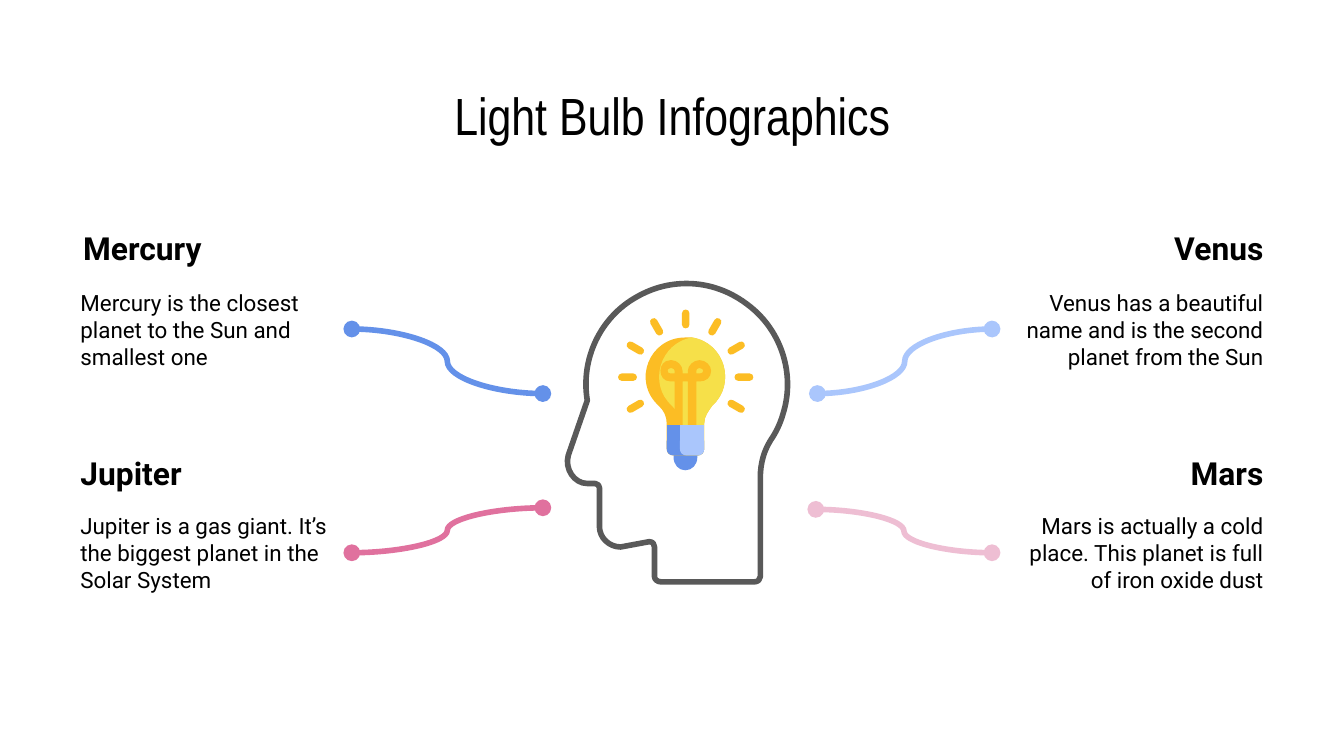
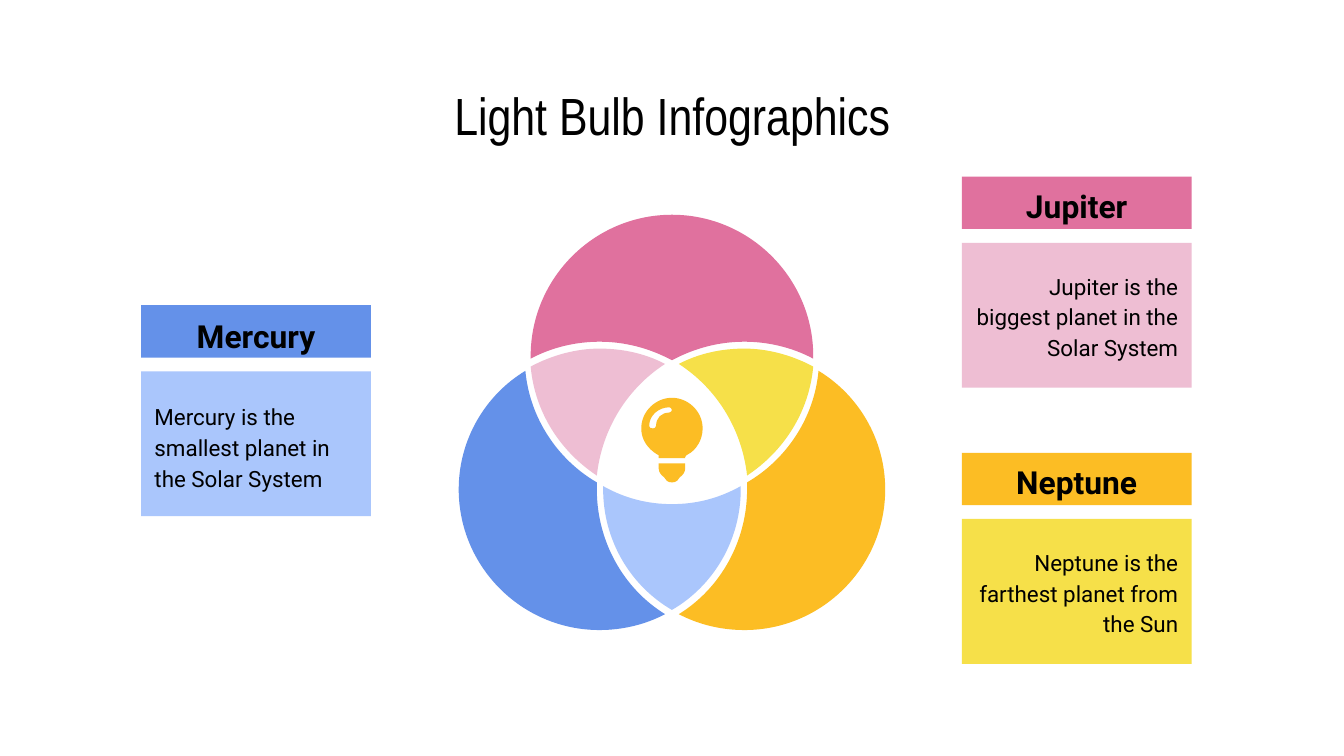
import math

from lxml import etree
from pptx import Presentation
from pptx import util as u
from pptx.dml.color import RGBColor
from pptx.enum import shapes, text
from pptx.oxml import ns

BLUE, LIGHT_BLUE = "6491E9", "AAC6FC"
PINK, LIGHT_PINK = "E0719E", "EEBED3"
ORANGE, YELLOW = "FCBD24", "F6E049"
BLACK, GREY = "000000", "595959"

TITLE = {"name": "Arial Narrow", "size": u.Pt(28), "bold": False}
HEADING = {"name": "Roboto", "size": u.Pt(17), "bold": True}
BODY = {"name": "Roboto", "size": u.Pt(12), "bold": False}
FRAME = {"word_wrap": True, "auto_size": text.MSO_AUTO_SIZE.NONE,
         "vertical_anchor": text.MSO_ANCHOR.MIDDLE,
         **{f"margin_{side}": u.Cm(0.25) for side in ("left", "right", "top", "bottom")}}
LEFT, CENTER, RIGHT = text.PP_ALIGN.LEFT, text.PP_ALIGN.CENTER, text.PP_ALIGN.RIGHT

MIDDLE = 12.7  # horizontal centre of the slide, cm

# Outlines in cm: M starts a contour, L is a line, C a cubic curve
HEAD = """M 12.98 5.36 C 12.65 5.36 12.34 5.44 12.04 5.61
C 11.35 5.99 10.97 6.78 11.1 7.57 L 10.74 8.61 C 10.67 8.86 10.85 9.14 11.1 9.14
L 11.25 9.14 C 11.3 9.14 11.33 9.19 11.33 9.22 L 11.33 9.96
C 11.33 10.16 11.51 10.34 11.73 10.34 L 12.27 10.24 C 12.34 10.24 12.37 10.29 12.37 10.34
L 12.37 10.9 C 12.37 10.95 12.42 11 12.5 11 L 14.25 11 C 14.33 11 14.37 10.95 14.37 10.9
L 14.37 9.02 C 14.37 8.89 14.39 8.76 14.42 8.65 C 14.45 8.54 14.5 8.43 14.56 8.33
C 14.67 8.17 14.75 8 14.8 7.82 C 15.03 7.09 14.78 6.27 14.17 5.79
C 13.82 5.51 13.41 5.36 12.98 5.36"""
GLASS_RIGHT = """L 13.18 8.61 C 13.26 8.61 13.31 8.56 13.31 8.48
L 13.31 8 C 13.31 7.87 13.39 7.77 13.46 7.67 C 13.92 7.26 13.7 6.48 13.08 6.38"""
GLASS = """M 12.95 6.38 C 12.27 6.38 11.94 7.21 12.45 7.67 C 12.55 7.77 12.6 7.87 12.6 8
L 12.6 8.48 C 12.6 8.56 12.65 8.61 12.73 8.61 """ + GLASS_RIGHT
LIT_GLASS = """M 13.08 6.38 C 12.47 6.48 12.24 7.26 12.7 7.67 C 12.8 7.77 12.85 7.87 12.85 8
L 12.85 8.48 C 12.85 8.56 12.9 8.61 12.98 8.61 """ + GLASS_RIGHT
FILAMENT = """M 12.7 6.96 C 12.73 6.96 12.75 6.99 12.75 7.01 L 12.75 7.06 L 12.67 7.06
C 12.6 7.06 12.6 6.96 12.67 6.96
M 13.23 6.96 C 13.31 6.96 13.31 7.06 13.23 7.06 L 13.16 7.06 L 13.16 7.01
C 13.16 6.99 13.18 6.96 13.21 6.96
M 12.67 6.81 C 12.42 6.81 12.42 7.21 12.67 7.21 L 12.75 7.21 L 12.75 8.03 L 12.9 8.03
L 12.9 7.21 L 13 7.21 L 13 8.03 L 13.16 8.03 L 13.16 7.21 L 13.23 7.21
C 13.34 7.21 13.44 7.14 13.44 7.01 C 13.44 6.91 13.34 6.81 13.23 6.81 L 13.21 6.81
C 13.11 6.81 13 6.91 13 7.01 L 13 7.06 L 12.9 7.06 L 12.9 7.01
C 12.9 6.91 12.8 6.81 12.7 6.81"""
TIP = """M 12.73 8.59 L 12.73 8.64 C 12.73 8.79 12.83 8.89 12.95 8.89
C 13.08 8.89 13.18 8.79 13.18 8.64 L 13.18 8.59"""

TOP_CIRCLE = """M 12.7 4.06 C 11.23 4.06 10.03 5.26 10.03 6.73 L 10.03 6.78
C 10.44 6.56 10.9 6.46 11.33 6.46 C 11.81 6.46 12.27 6.58 12.7 6.81
C 13.13 6.58 13.59 6.46 14.07 6.46 C 14.5 6.46 14.96 6.56 15.37 6.78 L 15.37 6.73
C 15.37 5.26 14.17 4.06 12.7 4.06"""
SIDE_CIRCLE = """M 15.47 7.01 C 15.39 7.9 14.86 8.69 14.12 9.12 L 14.12 9.25
C 14.12 10.24 13.61 11.13 12.83 11.61 C 13.21 11.81 13.64 11.91 14.07 11.91
C 15.53 11.91 16.73 10.72 16.73 9.25 C 16.73 8.31 16.23 7.47 15.47 7.01"""
SIDE_LENS = """M 14.07 6.59 C 13.64 6.59 13.21 6.68 12.83 6.88
C 13.54 7.34 14.02 8.1 14.12 8.99 C 14.81 8.53 15.29 7.8 15.37 6.93
C 14.96 6.71 14.5 6.59 14.07 6.59"""
LOWER_LENS = """M 11.4 9.19 L 11.4 9.25 C 11.4 10.21 11.91 11.07 12.7 11.53
C 13.49 11.07 14 10.21 14 9.25 L 14 9.19 C 13.59 9.42 13.16 9.53 12.7 9.53
C 12.24 9.53 11.81 9.42 11.4 9.19"""
SMALL_BULB = """M 12.65 7.7 C 12.67 7.7 12.7 7.72 12.7 7.75 C 12.7 7.77 12.67 7.8 12.65 7.8
C 12.5 7.8 12.4 7.9 12.4 8.05 C 12.4 8.08 12.37 8.1 12.34 8.1
C 12.29 8.1 12.27 8.08 12.27 8.05 C 12.27 7.85 12.45 7.7 12.65 7.7
M 12.7 7.52 C 12.4 7.52 12.12 7.77 12.12 8.1 C 12.12 8.31 12.24 8.48 12.42 8.59
C 12.45 8.59 12.45 8.61 12.45 8.64 L 12.45 8.66 L 12.95 8.66 L 12.95 8.64
C 12.95 8.61 12.98 8.61 13 8.59 C 13.16 8.51 13.28 8.31 13.28 8.1
C 13.28 7.77 13 7.52 12.7 7.52"""
SMALL_TIP = """M 12.45 8.76 L 12.45 8.86 C 12.45 8.92 12.5 8.99 12.55 9.02
C 12.57 9.07 12.62 9.12 12.7 9.12 C 12.78 9.12 12.83 9.07 12.85 9.02
C 12.9 8.99 12.95 8.92 12.95 8.86 L 12.95 8.76"""


def rgb(color):
    return RGBColor.from_string(color)


def set_all(target, values):
    for name, value in values.items():
        setattr(target, name, value)


def paint(shape, fill=None, line=None):
    shape.shadow.inherit = False
    if fill:
        shape.fill.solid()
        shape.fill.fore_color.rgb = rgb(fill)
    else:
        shape.fill.background()
    if line:
        shape.line.color.rgb = rgb(line)
        shape.line.width = u.Pt(3)
    else:
        shape.line.fill.background()


def write(shape, words, style, align, spacing=1.0):
    set_all(shape.text_frame, FRAME)
    paragraph = shape.text_frame.paragraphs[0]
    set_all(paragraph, {"alignment": align, "line_spacing": spacing})
    run = paragraph.add_run()
    run.text = words
    set_all(run.font, style)
    run.font.color.rgb = rgb(BLACK)


def add_text(slide, box, words, style, align, spacing=1.0):
    shape = slide.shapes.add_textbox(*map(u.Cm, box))
    write(shape, words, style, align, spacing)


def add_block(slide, box, fill):
    shape = slide.shapes.add_shape(shapes.MSO_SHAPE.RECTANGLE, *map(u.Cm, box))
    paint(shape, fill)


def bend(shape, commands):
    """Join each three line segments that stand for a C command into one cubic curve."""
    segments = iter(list(shape._element.iter(ns.qn("a:lnTo"))))
    for command in commands:
        segment = next(segments)
        if command == "C":
            segment.tag = ns.qn("a:cubicBezTo")
            for extra in (next(segments), next(segments)):
                segment.append(extra[0])
                extra.getparent().remove(extra)


def add_outline(slide, outline, fill=None, line=None, mirrored=False):
    builder = None
    for contour in outline.split("M")[1:]:
        numbers = [float(word) for word in contour.split() if word not in "LC"]
        points = [(u.Cm(2 * MIDDLE - x if mirrored else x), u.Cm(y))
                  for x, y in zip(numbers[::2], numbers[1::2])]
        if builder is None:
            builder = slide.shapes.build_freeform(*points[0])
        else:
            builder.move_to(*points[0])
        builder.add_line_segments(points[1:], close=True)
    shape = builder.convert_to_shape()
    # A closing line is only added by the builder as a:close, never as a segment
    bend_commands = [letter for letter in outline if letter in "LC"]
    bend(shape, bend_commands)
    paint(shape, fill, line)


def add_curve(slide, start, end, color):
    """Draw a curved connector with a dot at both ends."""
    connector = slide.shapes.add_connector(
        shapes.MSO_CONNECTOR.CURVE, *map(u.Cm, (*start, *end)))
    connector.line.color.rgb = rgb(color)
    connector.line.width = u.Pt(3)
    properties = connector._element.spPr
    for tag in ("a:headEnd", "a:tailEnd"):
        etree.SubElement(properties.find(ns.qn("a:ln")), ns.qn(tag), type="oval")
    etree.SubElement(properties, ns.qn("a:effectLst"))


def add_titled_slide(presentation):
    slide = presentation.slides.add_slide(presentation.slide_layouts[5])
    slide.background.fill.solid()
    slide.background.fill.fore_color.rgb = rgb("FFFFFF")
    title = slide.shapes.title
    set_all(title, {"left": u.Cm(7.94), "top": u.Cm(1.5),
                    "width": u.Cm(9.52), "height": u.Cm(1.35)})
    write(title, "Light Bulb Infographics", TITLE, CENTER)
    return slide


def add_rays(slide):
    center_x, center_y, radius = 12.96, 7.13, 1.1
    half, side, bulge = 0.11, 0.07, 0.2  # straight part, half width, control of the round end
    ray = ((-half, -side), (half, -side), (bulge, -side), (bulge, side), (half, side),
           (-half, side), (-bulge, side), (-bulge, -side), (-half, -side))
    for degrees in range(-30, 211, 30):
        cosine, sine = math.cos(math.radians(degrees)), math.sin(math.radians(degrees))
        turned = [f"{center_x + (radius + x) * cosine + y * sine:.3f} "
                  f"{center_y - (radius + x) * sine + y * cosine:.3f}" for x, y in ray]
        add_outline(slide, "M {} L {} C {} {} {} L {} C {} {} {}".format(*turned), ORANGE)


def add_socket(slide, left, color):
    """Draw the two rings of the bulb's socket, from left to its right edge."""
    right = 13.31
    add_outline(slide, f"M {left} 8.03 L {left} 8.33 L {right} 8.33 L {right} 8.03", color)
    add_outline(slide, f"""M {left} 8.33 L {left} 8.48
        C {left} 8.56 {left + 0.05} 8.61 {left + 0.13} 8.61 L 13.18 8.61
        C 13.26 8.61 {right} 8.56 {right} 8.48 L {right} 8.33""", color)


def add_head(slide):
    add_outline(slide, HEAD, line=GREY)
    for outline, color in ((TIP, BLUE), (GLASS, ORANGE), (LIT_GLASS, YELLOW),
                           (FILAMENT, ORANGE)):
        add_outline(slide, outline, color)
    add_rays(slide)
    add_socket(slide, 12.6, BLUE)
    add_socket(slide, 12.85, LIGHT_BLUE)


def add_callout(slide, tops, align, heading_box, name, words, color, target):
    heading_top, body_top, line_top = tops
    body_left, line_left = (1.27, 6.65) if align == LEFT else (18.75, 18.75)
    heading_left, heading_width = heading_box
    add_text(slide, (body_left, body_top, 5.38, 1.85), words, BODY, align)
    add_curve(slide, (line_left, line_top), target, color)
    add_text(slide, (heading_left, heading_top, heading_width, 0.91), name, HEADING, align, 1.15)


def add_card(slide, corner, align, name, heading, words, body, color, light_color):
    """Draw a card; heading is (shift, width), body is (shift, height) of its text."""
    left, top = corner
    width, body_top = 4.34, top + 1.25
    add_block(slide, (left, top, width, 0.99), color)
    add_block(slide, (left, body_top, width, 2.74), light_color)
    add_text(slide, (left, body_top + body[0], width, body[1]), words, BODY, align, 1.15)
    add_text(slide, (left + (width - heading[1]) / 2, top + heading[0], heading[1], 0.91),
             name, HEADING, CENTER, 1.15)


def add_venn(slide):
    add_outline(slide, TOP_CIRCLE, PINK)
    for circle, lens, mirrored in ((ORANGE, YELLOW, False), (BLUE, LIGHT_PINK, True)):
        add_outline(slide, SIDE_CIRCLE, circle, mirrored=mirrored)
        add_outline(slide, SIDE_LENS, lens, mirrored=mirrored)
    add_outline(slide, LOWER_LENS, LIGHT_BLUE)
    add_outline(slide, SMALL_BULB, ORANGE)
    add_outline(slide, SMALL_TIP, ORANGE)


def main():
    presentation = Presentation()
    presentation.slide_width, presentation.slide_height = u.Cm(25.4), u.Cm(14.29)

    slide = add_titled_slide(presentation)
    add_head(slide)
    upper, lower = (4.17, 5.3, 6.22), (8.43, 9.52, 10.45)
    for callout in (
        (upper, LEFT, (1.32, 4.37), "Mercury",
         "Mercury is the closest planet to the Sun and smallest one", BLUE, (10.26, 7.44)),
        (upper, RIGHT, (19.13, 5), "Venus",
         "Venus has a beautiful name and is the second planet from the Sun",
         LIGHT_BLUE, (15.45, 7.44)),
        (lower, LEFT, (1.27, 5), "Jupiter",
         "Jupiter is a gas giant. It’s the biggest planet in the Solar System",
         PINK, (10.26, 9.6)),
        (lower, RIGHT, (19.13, 5), "Mars",
         "Mars is actually a cold place. This planet is full of iron oxide dust",
         LIGHT_PINK, (15.42, 9.63)),
    ):
        add_callout(slide, *callout)

    slide = add_titled_slide(presentation)
    add_venn(slide)
    for card in (
        ((2.67, 5.77), LEFT, "Mercury", (0.07, 2.77),
         "Mercury is the smallest planet in the Solar System", (0.04, 2.74), BLUE, LIGHT_BLUE),
        ((18.18, 8.56), RIGHT, "Neptune", (0.03, 3.89),
         "Neptune is the farthest planet from the Sun", (0.36, 2.01), ORANGE, YELLOW),
        ((18.18, 3.34), RIGHT, "Jupiter", (0.05, 2.77),
         "Jupiter is the biggest planet in the Solar System", (0.41, 1.91), PINK, LIGHT_PINK),
    ):
        add_card(slide, *card)

    presentation.save("out.pptx")


if __name__ == "__main__":
    main()
